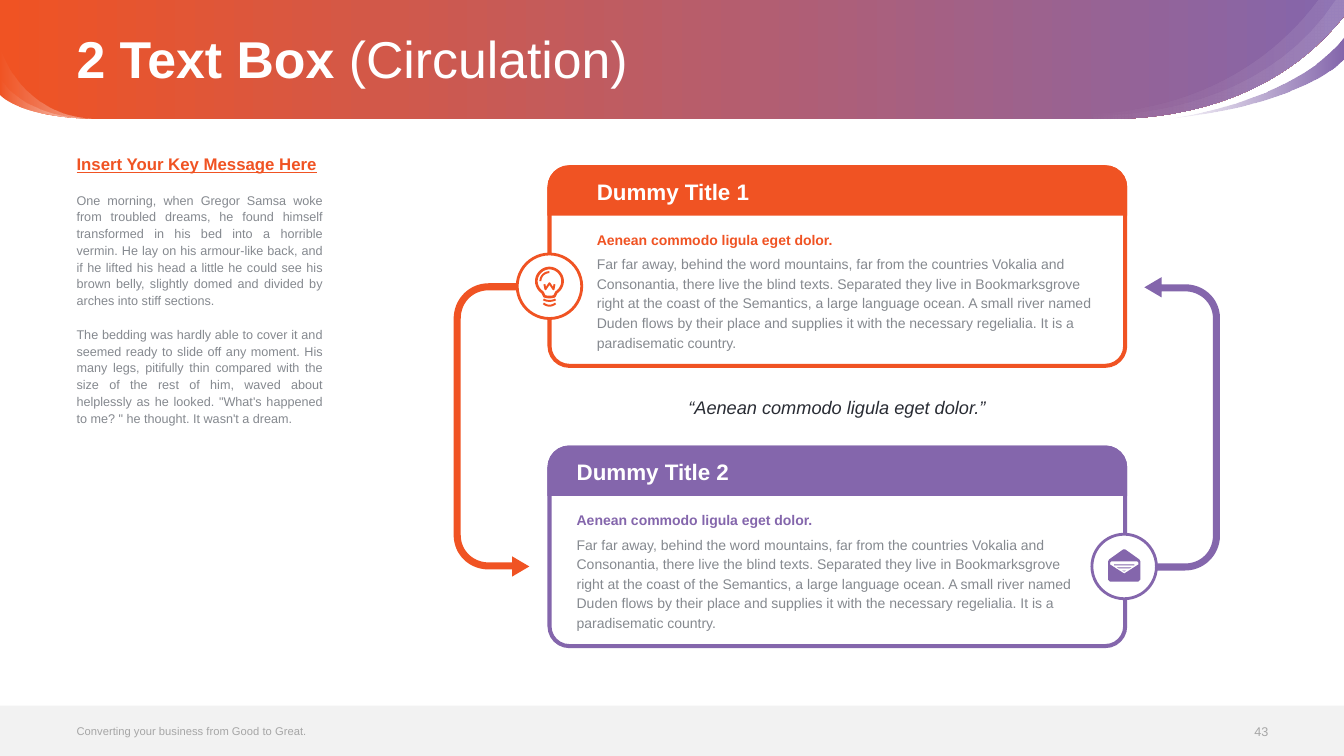
import pptx
import pptx.util
import pptx.dml.color
import pptx.enum.shapes
import pptx.enum.text
import pptx.oxml
from pptx.oxml.ns import qn

Inches = pptx.util.Inches
Pt = pptx.util.Pt
KIND = pptx.enum.shapes.MSO_SHAPE
ALIGN = pptx.enum.text.PP_ALIGN
ANCHOR = pptx.enum.text.MSO_ANCHOR
HUES = {"orange": "F05323", "purple": "8466AC", "white": "FFFFFF", "grey": "85898F",
        "pale": "F2F2F2", "faint": "A6A6A6", "dark": "292C34"}

LEAD = "Aenean commodo ligula eget dolor."
BODY = ("Far far away, behind the word mountains, far from the countries Vokalia and Consonantia, "
        "there live the blind texts. Separated they live in Bookmarksgrove right at the coast of the "
        "Semantics, a large language ocean. A small river named Duden flows by their place and supplies "
        "it with the necessary regelialia. It is a paradisematic country.")
STORY = [
    "One morning, when Gregor Samsa woke from troubled dreams, he found himself transformed in his bed "
    "into a horrible vermin. He lay on his armour-like back, and if he lifted his head a little he could "
    "see his brown belly, slightly domed and divided by arches into stiff sections.",
    "The bedding was hardly able to cover it and seemed ready to slide off any moment. His many legs, "
    "pitifully thin compared with the size of the rest of him, waved about helplessly as he looked. "
    "\"What's happened to me? \" he thought. It wasn't a dream.",
]

BAND = [(13.33, 0), (13.33, 0.16), (12.66, 1, 11.7, 1.17, 11.05, 1.18), (0.97, 1.18),
        (0.18, 1.17, 0, 0.94, 0, 0.94), (0, 0)]
GLOW = [(13.33, 0), (13.33, 0.16), (12.24, 1.53, 10.39, 1.13, 10.34, 1.12),
        (10.4, 1.12, 12.32, 1.39, 13.24, 0)]
TAIL = [(11.57, 1.18), (11.57, 1.18, 12.82, 1.03, 13.33, 0.37), (13.33, 0.59),
        (13.33, 0.59, 12.94, 1.04, 11.57, 1.18)]
SHEEN = [(13.33, 0), (13.33, 0.16), (12.23, 1.55, 10.34, 1.12, 10.34, 1.12),
         (11.89, 1.22, 12.7, 0.5, 13.07, 0)]
ARROW = [(0.75, 2.81), (0.58, 2.71), (0.58, 2.77), (0.35, 2.77),
         (0.19, 2.77, 0.07, 2.65, 0.07, 2.5), (0.07, 0.35),
         (0.07, 0.19, 0.19, 0.07, 0.35, 0.07), (0.63, 0.07), (0.63, 0), (0.35, 0),
         (0.15, 0, 0, 0.16, 0, 0.35), (0, 2.5), (0, 2.69, 0.15, 2.84, 0.35, 2.84),
         (0.58, 2.84), (0.58, 2.91)]
GLASS = [(-0.05, 0.1), (-0.07, 0.06), (-0.1, 0.04, -0.13, 0, -0.13, -0.05),
         (-0.13, -0.12, -0.07, -0.18, 0, -0.18), (0.07, -0.18, 0.13, -0.12, 0.13, -0.05),
         (0.13, 0, 0.1, 0.04, 0.07, 0.06), (0.05, 0.1), (0.02, 0.11, -0.02, 0.11, -0.05, 0.1)]
WIRE = [[(-0.05, -0.02), (-0.04, 0.03), (0, -0.03), (0.04, 0.03), (0.05, -0.02)],
        [(-0.09, -0.05), (-0.09, -0.1, -0.05, -0.14, 0, -0.14)],
        [(-0.06, 0.13), (-0.03, 0.15, 0.03, 0.15, 0.06, 0.13)],
        [(-0.06, 0.17), (-0.02, 0.2, 0.02, 0.2, 0.06, 0.17)]]
MAIL = [[(0.15, -0.07), (0.01, -0.17), (-0.01, -0.17), (-0.15, -0.07), (-0.16, -0.05),
         (-0.16, 0.13), (-0.14, 0.15), (0.14, 0.15), (0.16, 0.13), (0.16, -0.05)],
        [(0.14, -0.02), (0, 0.07), (-0.14, -0.02), (-0.14, -0.04), (-0.13, -0.05),
         (0.13, -0.05), (0.14, -0.04)],
        [(-0.1, -0.02), (0.1, -0.02), (0.1, -0.01), (-0.1, -0.01)],
        [(-0.07, 0.01), (0.07, 0.01), (0.05, 0.02), (-0.05, 0.02)],
        [(-0.02, 0.04), (0.02, 0.04), (0, 0.05)]]


def tint(name):
    return pptx.dml.color.RGBColor.from_string(HUES[name])


def style(shape, fill=None, line=None, width=1):
    shape.shadow.inherit = False
    if fill:
        shape.fill.solid()
        shape.fill.fore_color.rgb = tint(fill)
    else:
        shape.fill.background()
    if line:
        shape.line.color.rgb = tint(line)
        shape.line.width = Pt(width)
    else:
        shape.line.fill.background()
    return shape


def fade(shape, stops):
    style(shape)
    shape.fill.gradient()
    shape.fill.gradient_angle = 0
    for stop, (place, name, alpha) in zip(shape.fill.gradient_stops, stops):
        stop.position = place
        stop.color.rgb = tint(name)
        if alpha < 100:
            node = shape.element.spPr.findall(".//" + qn("a:srgbClr"))[stops.index((place, name, alpha))]
            node.append(pptx.oxml.parse_xml(
                '<a:alpha xmlns:a="http://schemas.openxmlformats.org/drawingml/2006/main" '
                f'val="{alpha * 1000}"/>'))


def bend(start, curve, steps=24):
    ax, ay, bx, by, cx, cy = curve
    for i in range(1, steps + 1):
        t = i / steps
        u = 1 - t
        yield tuple(u**3 * p + 3 * u * u * t * a + 3 * u * t * t * b + t**3 * c
                    for p, a, b, c in ((start[0], ax, bx, cx), (start[1], ay, by, cy)))


def trace(slide, x, y, paths, close=True):
    pen = None
    for path in paths:
        dots = [path[0]]
        for step in path[1:]:
            dots.extend([step] if len(step) == 2 else bend(dots[-1], step))
        spots = [(Inches(x + a), Inches(y + b)) for a, b in dots]
        if pen is None:
            pen = slide.shapes.build_freeform(*spots[0], scale=1.0)
        else:
            pen.move_to(*spots[0])
        pen.add_line_segments(spots[1:], close=close)
    return pen.convert_to_shape()


def block(slide, kind, x, y, w, h, fill=None, line=None, width=1):
    shape = slide.shapes.add_shape(kind, Inches(x), Inches(y), Inches(w), Inches(h))
    return style(shape, fill, line, width)


def setup(frame, anchor=ANCHOR.TOP):
    frame.margin_left = frame.margin_right = frame.margin_top = frame.margin_bottom = 0
    frame.word_wrap = True
    frame.auto_size = pptx.enum.text.MSO_AUTO_SIZE.NONE
    frame.vertical_anchor = anchor


def font(para, size, hue, bold=False, align=ALIGN.LEFT, pitch=None):
    para.alignment = align
    if pitch:
        para.line_spacing = pitch
    para.font.name, para.font.size, para.font.bold = "Arial", Pt(size), bold
    para.font.color.rgb = tint(hue)


def label(slide, x, y, w, h, text, size, hue, bold=False, align=ALIGN.LEFT, pitch=None, anchor=ANCHOR.TOP):
    box = slide.shapes.add_textbox(Inches(x), Inches(y), Inches(w), Inches(h))
    setup(box.text_frame, anchor)
    para = box.text_frame.paragraphs[0]
    para.text = text
    font(para, size, hue, bold, align, pitch)
    return box.text_frame


def banner(slide, x, y, w, h):
    glow = [(0.15, "white", 0), (1, "white", 10)]
    shine = [(0, "white", 0), (1, "white", 50)]
    edges = [[(0.97, 1.18), (0.18, 1.17, 0, 0.94, 0, 0.94), (0, top), (0, top, 0.18, low, 0.97, 1.18)]
             for top, low in ((0.76, 1.17), (0.45, 1.16))]
    for path, stops in [(BAND, [(0, "orange", 100), (1, "purple", 100)]), (GLOW, glow),
                        (TAIL, [(0, "purple", 0), (1, "purple", 100)]), (SHEEN, glow),
                        (edges[0], shine), (edges[1], shine)]:
        fade(trace(slide, x, y, [path]), stops)
    title = slide.shapes.title
    title.left, title.top, title.width, title.height = map(Inches, (x + 0.76, y + 0.05, w - 1.52, h - 0.05))
    title.element.getparent().append(title.element)
    setup(title.text_frame, ANCHOR.MIDDLE)
    para = title.text_frame.paragraphs[0]
    for text, bold in (("2 Text Box ", True), ("(Circulation)", False)):
        run = para.add_run()
        run.text, run.font.bold = text, bold
    font(para, 37, "white", None, pitch=0.9)


def story(slide, x, y, w, h):
    frame = label(slide, x, y, w, h, "Insert Your Key Message Here", 12, "orange", True, ALIGN.JUSTIFY, Pt(12))
    frame.paragraphs[0].font.underline = True
    for text in STORY:
        para = frame.add_paragraph()
        para.text = text
        para.space_before = Pt(12)
        font(para, 9, "grey", False, ALIGN.JUSTIFY, Pt(12))


def card(slide, x, y, w, h, hue, title, inset):
    rim = block(slide, KIND.ROUNDED_RECTANGLE, x + 0.02, y + 0.02, w - 0.04, h - 0.04, None, hue, 2.9)
    rim.adjustments[0] = 0.1
    head = block(slide, KIND.ROUND_2_SAME_RECTANGLE, x, y, w, 0.5, hue)
    head.adjustments[0] = 0.43
    left = x + inset
    label(slide, left, y + 0.13, 5.04, 0.27, title, 16, "white", True)
    label(slide, left, y + 0.63, 5.04, 0.2, LEAD, 10, hue, True, pitch=Pt(14))
    label(slide, left, y + 0.87, 5.04, 0.98, BODY, 10, "grey", pitch=Pt(14))


def badge(slide, x, y, hue):
    block(slide, KIND.OVAL, x - 0.32, y - 0.32, 0.64, 0.64, "white", hue, 2)


def cycle(slide, x, y, w, h):
    style(trace(slide, x, y + 1.17, [ARROW]), "orange")
    back = style(trace(slide, x + w - 0.75, y + 1.11, [ARROW]), "purple")
    back.rotation = 180
    cards = [("orange", "Dummy Title 1", 0.49), ("purple", "Dummy Title 2", 0.29)]
    for i, (hue, title, inset) in enumerate(cards):
        card(slide, x + 0.93, y + i * (h - 2.01), 5.75, 2.01, hue, title, inset)
    bulb, mail = (x + 0.95, y + 1.2), (x + 6.65, y + 3.98)
    badge(slide, *bulb, "orange")
    style(trace(slide, *bulb, [GLASS]), None, "orange", 1.9)
    style(trace(slide, *bulb, WIRE, False), None, "orange", 1.4)
    badge(slide, *mail, "purple")
    style(trace(slide, *mail, MAIL), "purple")
    quote = label(slide, x + 1.4, y + 2.31, 4.8, 0.2, f"“{LEAD}”", 13, "dark", False, ALIGN.CENTER, Pt(14))
    quote.paragraphs[0].font.italic = True


def footer(slide, x, y, w, h):
    block(slide, KIND.RECTANGLE, x, y, w, h, "pale")
    label(slide, x + 0.76, y + 0.12, 5.23, 0.26, "Converting your business from Good to Great.",
          8, "faint", anchor=ANCHOR.MIDDLE)
    label(slide, x + w - 1.38, y + 0.13, 0.63, 0.26, "43", 9, "faint",
          align=ALIGN.RIGHT, anchor=ANCHOR.MIDDLE)


def main():
    deck = pptx.Presentation()
    deck.slide_width, deck.slide_height = Inches(13.33), Inches(7.5)
    slide = deck.slides.add_slide(deck.slide_layouts[5])
    banner(slide, 0, 0, 13.33, 1.18)
    footer(slide, 0, 7, 13.33, 0.5)
    story(slide, 0.76, 1.56, 2.44, 5.19)
    cycle(slide, 4.5, 1.64, 7.6, 4.79)
    deck.save("out.pptx")


if __name__ == "__main__":
    main()
